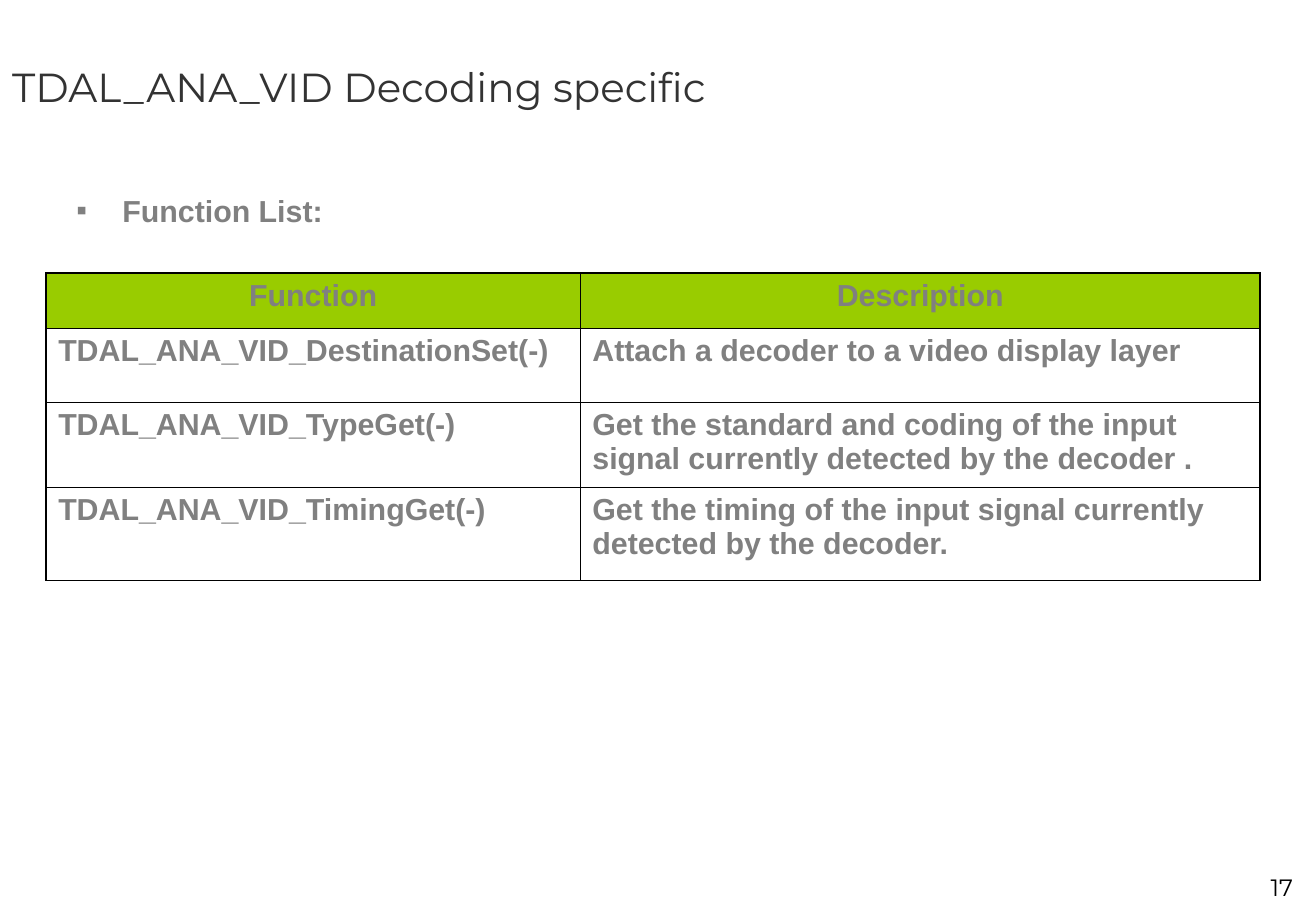
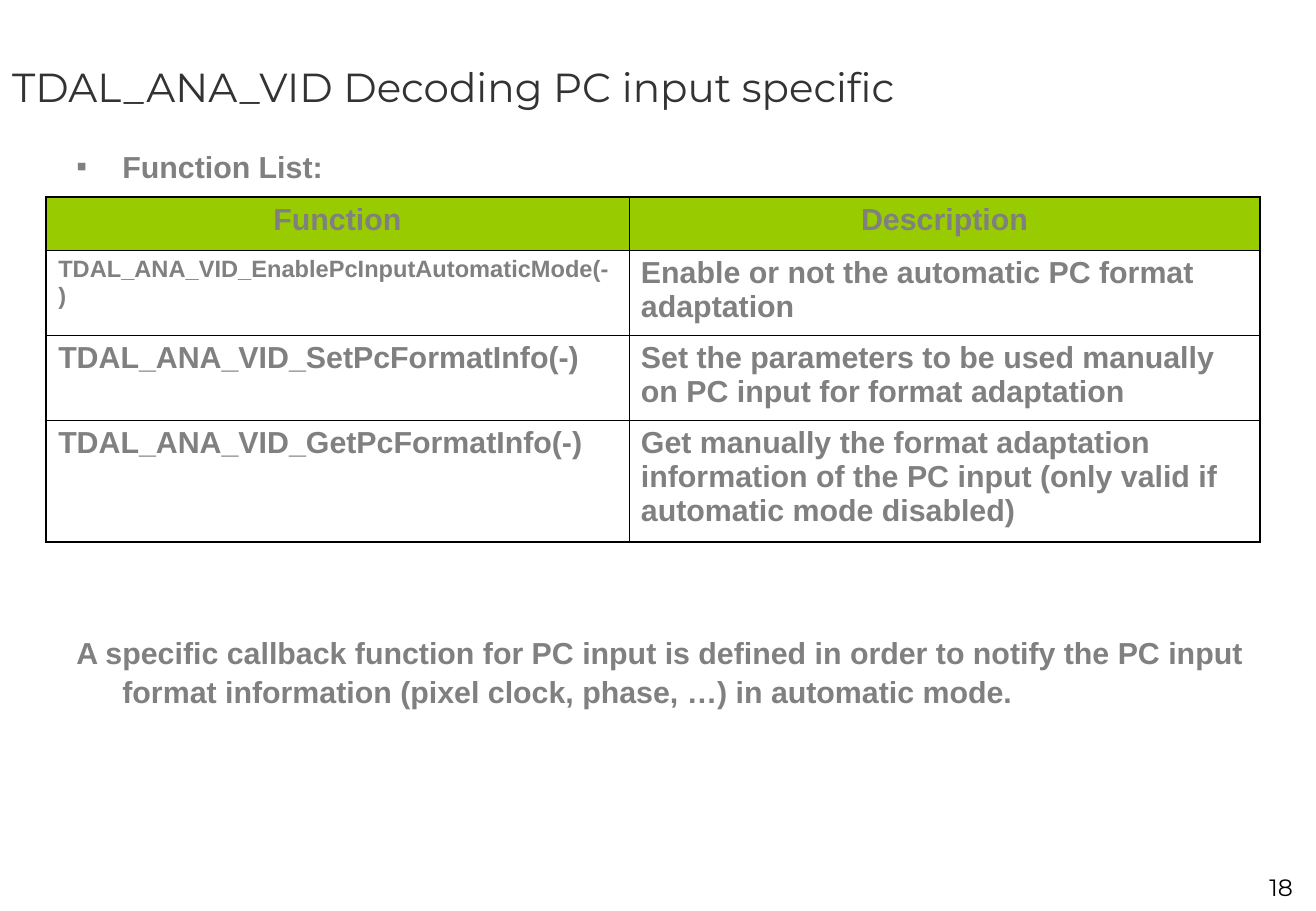
from dataclasses import dataclass

from lxml.etree import SubElement
from pptx import Presentation
from pptx.dml.color import RGBColor as RGB
from pptx.enum.text import MSO_ANCHOR as ANCHOR, PP_ALIGN as ALIGN
from pptx.oxml.ns import qn
from pptx.util import Inches, Pt

SLIDE_W, SLIDE_H = 10.84, 7.5
TITLE_ONLY = 5


@dataclass(frozen=True)
class Theme:
    title_font: str = "Montserrat"
    body_font: str = "Arial"
    title_color: str = "333333"
    body_color: str = "808080"
    number_color: str = "000000"
    header_fill: str = "99CC00"
    border_color: str = "000000"
    title_size: float = 24
    body_size: float = 18
    small_size: float = 14
    outer_line: float = 1.08
    inner_line: float = 0.45
    line_spacing: float = 1.07
    indent: float = 0.38


@dataclass(frozen=True)
class Box:
    x: float
    y: float
    w: float
    h: float

    def inches(self):
        return [Inches(v) for v in (self.x, self.y, self.w, self.h)]


THEME = Theme()
TITLE_BOX = Box(0, 0, SLIDE_W, 1.42)
NUMBER_BOX = Box(9.59, 7.14, 1.16, 0.33)
BODY_X, BODY_W, BODY_BOTTOM = 0.53, 9.91, 6.1
TABLE_X, TABLE_W = 0.38, 10
HEADERS = ("Function", "Description")

SLIDES = [
    dict(
        number=17,
        title="TDAL_ANA_VID Decoding specific",
        body_top=1.51,
        table_top=2.25,
        shares=(0.44, 0.56),
        heights=(0.45, 0.61, 0.7, 0.77),
        functions=[
            ("TDAL_ANA_VID_DestinationSet(-)",
             "Attach a decoder to a video display layer"),
            ("TDAL_ANA_VID_TypeGet(-)",
             "Get the standard and coding of the input signal currently "
             "detected by the decoder ."),
            ("TDAL_ANA_VID_TimingGet(-)",
             "Get the timing of the input signal currently detected by "
             "the decoder."),
        ],
    ),
    dict(
        number=18,
        title="TDAL_ANA_VID Decoding PC input specific",
        body_top=1.15,
        table_top=1.62,
        shares=(0.48, 0.52),
        heights=(0.44, 0.7, 0.7, 1),
        functions=[
            ("TDAL_ANA_VID_EnablePcInputAutomaticMode(-)",
             "Enable or not the automatic PC format adaptation"),
            ("TDAL_ANA_VID_SetPcFormatInfo(-)",
             "Set the parameters to be used manually on PC input for "
             "format adaptation"),
            ("TDAL_ANA_VID_GetPcFormatInfo(-)",
             "Get manually the format adaptation information of the PC "
             "input (only valid if automatic mode disabled)"),
        ],
        small=("TDAL_ANA_VID_EnablePcInputAutomaticMode(-)",),
        note="A specific callback function for PC input is defined in order "
             "to notify the PC input format information (pixel clock, "
             "phase, …) in automatic mode.",
        note_gap=265,
    ),
]


def style(p, font, size, color, bold=False, align=ALIGN.LEFT):
    p.alignment = align
    for r in p.runs:
        r.font.name = font
        r.font.size = Pt(size)
        r.font.bold = bold
        r.font.color.rgb = RGB.from_string(color)


def style_body(p, size=THEME.body_size, align=ALIGN.LEFT):
    style(p, THEME.body_font, size, THEME.body_color, True, align)


def hang(p, bullet=None):
    """Give the paragraph a hanging indent and, if wanted, a bullet."""
    pPr = p._p.get_or_add_pPr()
    indent = Inches(THEME.indent)
    pPr.set("marL", str(indent))
    pPr.set("indent", str(-indent))
    if bullet:
        color = SubElement(pPr, qn("a:buClr"))
        SubElement(color, qn("a:srgbClr"), val=THEME.body_color)
        SubElement(pPr, qn("a:buFont"), typeface=THEME.body_font)
        SubElement(pPr, qn("a:buChar"), char=bullet)
    else:
        SubElement(pPr, qn("a:buNone"))
    p.line_spacing = THEME.line_spacing


def add_title(slide, box, text):
    sp = slide.shapes.title
    sp.left, sp.top, sp.width, sp.height = box.inches()
    tf = sp.text_frame
    tf.text = text
    tf.vertical_anchor = ANCHOR.MIDDLE
    style(tf.paragraphs[0], THEME.title_font, THEME.title_size,
          THEME.title_color)


def add_number(slide, box, number):
    tf = slide.shapes.add_textbox(*box.inches()).text_frame
    tf.word_wrap = True
    tf.text = str(number)
    style(tf.paragraphs[0], THEME.title_font, THEME.small_size,
          THEME.number_color, align=ALIGN.RIGHT)


def add_body(slide, box, note=None, note_gap=0):
    tf = slide.shapes.add_textbox(*box.inches()).text_frame
    tf.word_wrap = True
    p = tf.paragraphs[0]
    p.text = "Function List:"
    hang(p, "▪")
    style_body(p)
    if note:
        p = tf.add_paragraph()
        p.text = note
        hang(p)
        p.space_before = Pt(note_gap)
        style_body(p)


def set_borders(cell, outer):
    """Draw the four edges, heavier on the sides named in outer."""
    tcPr = cell._tc.get_or_add_tcPr()
    for side in "LRTB":
        width = THEME.outer_line if side in outer else THEME.inner_line
        ln = SubElement(tcPr, qn(f"a:ln{side}"), w=str(Pt(width)))
        fill = SubElement(ln, qn("a:solidFill"))
        SubElement(fill, qn("a:srgbClr"), val=THEME.border_color)


def add_function_table(slide, box, functions, shares, heights, small=()):
    rows = [HEADERS, *functions]
    table = slide.shapes.add_table(len(rows), len(HEADERS),
                                   *box.inches()).table
    table.first_row = table.horz_banding = False
    for column, share in zip(table.columns, shares):
        column.width = Inches(box.w * share)
    for row, height in zip(table.rows, heights):
        row.height = Inches(height)

    last = len(rows) - 1
    for i, texts in enumerate(rows):
        for j, text in enumerate(texts):
            cell = table.cell(i, j)
            cell.text = text
            size = THEME.small_size if text in small else THEME.body_size
            style_body(cell.text_frame.paragraphs[0], size,
                       ALIGN.LEFT if i else ALIGN.CENTER)
            outer = "LR"[j] + {0: "T", last: "B"}.get(i, "")
            set_borders(cell, outer)
            if i:
                cell.fill.background()
            else:
                cell.fill.solid()
                cell.fill.fore_color.rgb = RGB.from_string(THEME.header_fill)


def add_function_slide(prs, number, title, body_top, table_top, shares,
                       heights, functions, small=(), note=None, note_gap=0):
    slide = prs.slides.add_slide(prs.slide_layouts[TITLE_ONLY])
    add_title(slide, TITLE_BOX, title)
    add_body(slide, Box(BODY_X, body_top, BODY_W, BODY_BOTTOM - body_top),
             note, note_gap)
    add_function_table(slide, Box(TABLE_X, table_top, TABLE_W, sum(heights)),
                       functions, shares, heights, small)
    add_number(slide, NUMBER_BOX, number)


def main():
    prs = Presentation()
    prs.slide_width, prs.slide_height = Inches(SLIDE_W), Inches(SLIDE_H)
    for content in SLIDES:
        add_function_slide(prs, **content)
    prs.save("out.pptx")


if __name__ == "__main__":
    main()
